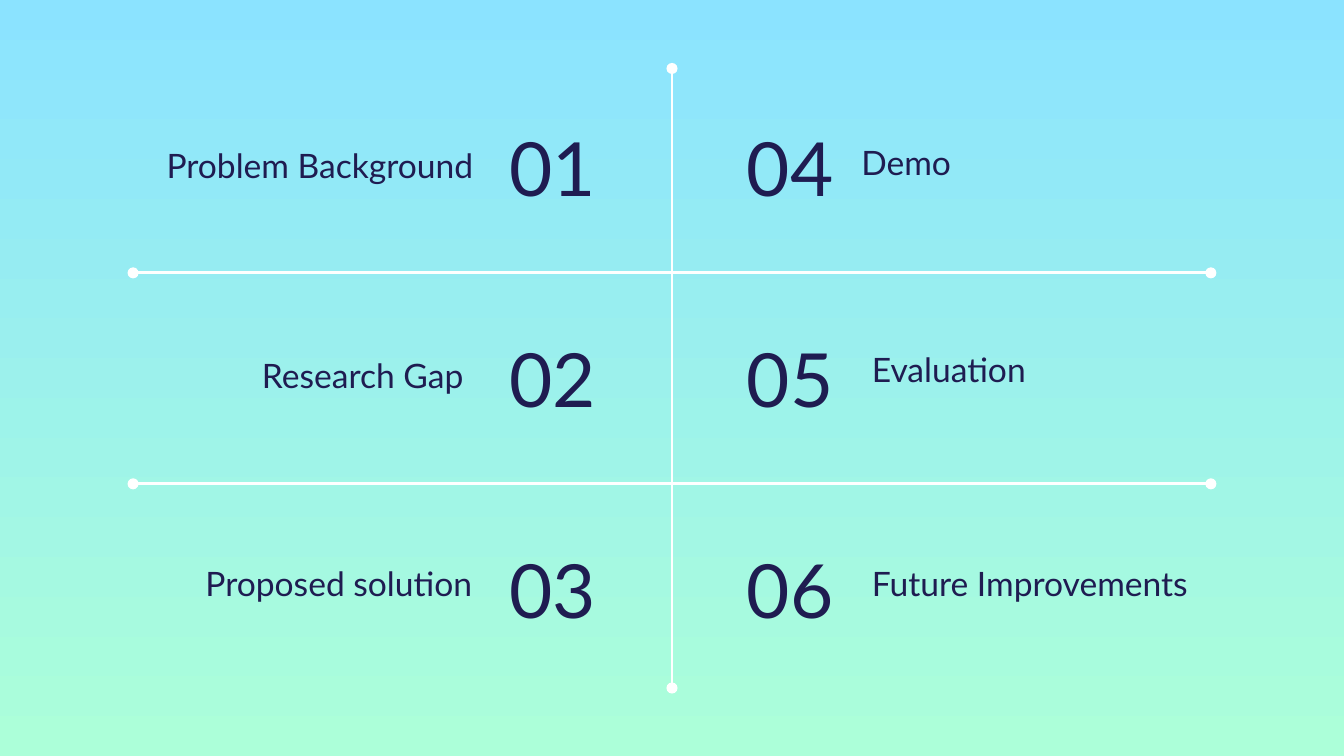
from dataclasses import dataclass

from lxml.etree import SubElement
from pptx import Presentation
from pptx.dml.color import RGBColor as Rgb
from pptx.enum.shapes import MSO_CONNECTOR as Connector
from pptx.enum.text import MSO_ANCHOR as Anchor, PP_ALIGN as Align
from pptx.oxml.ns import qn
from pptx.util import Pt


@dataclass(frozen=True)
class Theme:
    sky: Rgb = Rgb.from_string("8BE3FF")
    mint: Rgb = Rgb.from_string("ACFFD9")
    ink: Rgb = Rgb.from_string("1F1C51")
    rule: Rgb = Rgb.from_string("FFFFFF")
    font: str = "Lato"
    number_size: int = 40
    topic_size: int = 18
    rule_width: float = 1.5
    inset: float = 7.2


class AgendaPage:
    def __init__(self, page, theme):
        self.page = page
        self.theme = theme

    def background(self):
        fill = self.page.background.fill
        fill.gradient()
        fill.gradient_angle = 270
        for stop, color in zip(fill.gradient_stops, (self.theme.sky, self.theme.mint)):
            stop.color.rgb = color

    def rule(self, x1, y1, x2, y2):
        """Draw a straight line with a dot at both ends."""
        line = self.page.shapes.add_connector(
            Connector.STRAIGHT, Pt(x1), Pt(y1), Pt(x2), Pt(y2))
        line.line.color.rgb = self.theme.rule
        line.line.width = Pt(self.theme.rule_width)
        outline = line.line._get_or_add_ln()
        for end in ("a:headEnd", "a:tailEnd"):
            SubElement(outline, qn(end), type="oval")
        SubElement(line._element.spPr, qn("a:effectLst"))

    def text(self, words, left, top, width, height, size, align, anchor):
        box = self.page.shapes.add_textbox(Pt(left), Pt(top), Pt(width), Pt(height))
        frame = box.text_frame
        inset = Pt(self.theme.inset)
        frame_format = {
            "word_wrap": True, "vertical_anchor": anchor,
            "margin_left": inset, "margin_right": inset,
            "margin_top": inset, "margin_bottom": inset,
        }
        for name, value in frame_format.items():
            setattr(frame, name, value)
        para = frame.paragraphs[0]
        para.alignment = align
        span = para.add_run()
        span.text = words
        for name, value in {"name": self.theme.font, "size": Pt(size)}.items():
            setattr(span.font, name, value)
        span.font.color.rgb = self.theme.ink

    def number(self, words, left, top, align):
        self.text(words, left, top, 93.6, 62, self.theme.number_size, align, Anchor.MIDDLE)

    def topic(self, words, left, top, align):
        self.text(words, left, top, 214.6, 36, self.theme.topic_size, align, Anchor.BOTTOM)


def main():
    width, height = 720, 405
    middle = width / 2
    row_pitch, first_number_top, first_rule_y = 113, 58.3, 146.2
    # Per column: number left, number alignment, topic alignment,
    # then each topic with its left and top.
    columns = (
        (265.9, Align.LEFT, Align.RIGHT, (
            ("Problem Background", 46, 70.5),
            ("Research Gap", 40.7, 182.9),
            ("Proposed solution", 45.4, 294.5))),
        (middle, Align.RIGHT, Align.LEFT, (
            ("Demo", 454.3, 69.1),
            ("Evaluation", 460, 180),
            ("Future Improvements", 460, 294.5))),
    )

    deck = Presentation()
    deck.slide_width, deck.slide_height = Pt(width), Pt(height)
    agenda = AgendaPage(deck.slides.add_slide(deck.slide_layouts[6]), Theme())
    agenda.background()

    agenda.rule(middle, 36.7, middle, 368.6)
    for row in range(2):
        y = first_rule_y + row * row_pitch
        agenda.rule(71.3, y, width - 71.3, y)

    count = 0
    for number_left, number_align, topic_align, topics in columns:
        for row, (words, left, top) in enumerate(topics):
            count += 1
            number_top = first_number_top + row * row_pitch
            agenda.number(f"{count:02d}", number_left, number_top, number_align)
            agenda.topic(words, left, top, topic_align)

    deck.save("out.pptx")


if __name__ == "__main__":
    main()
